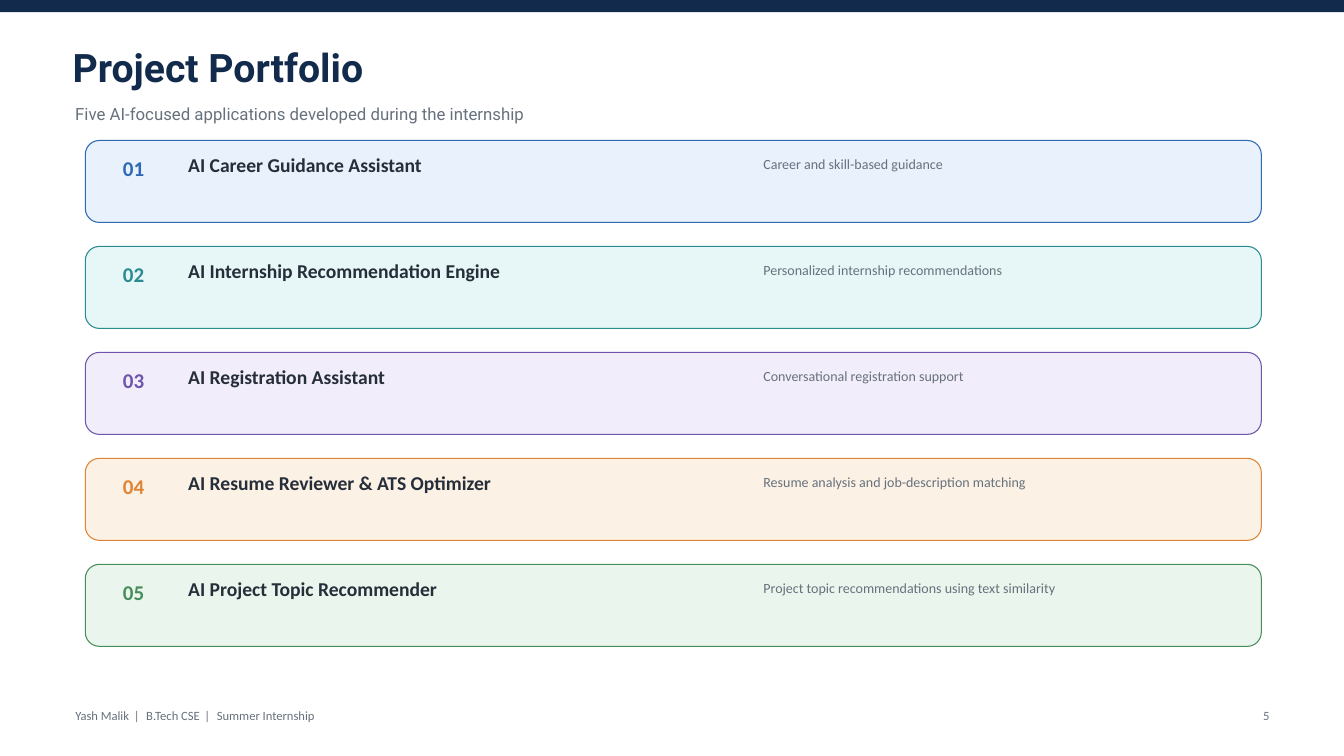
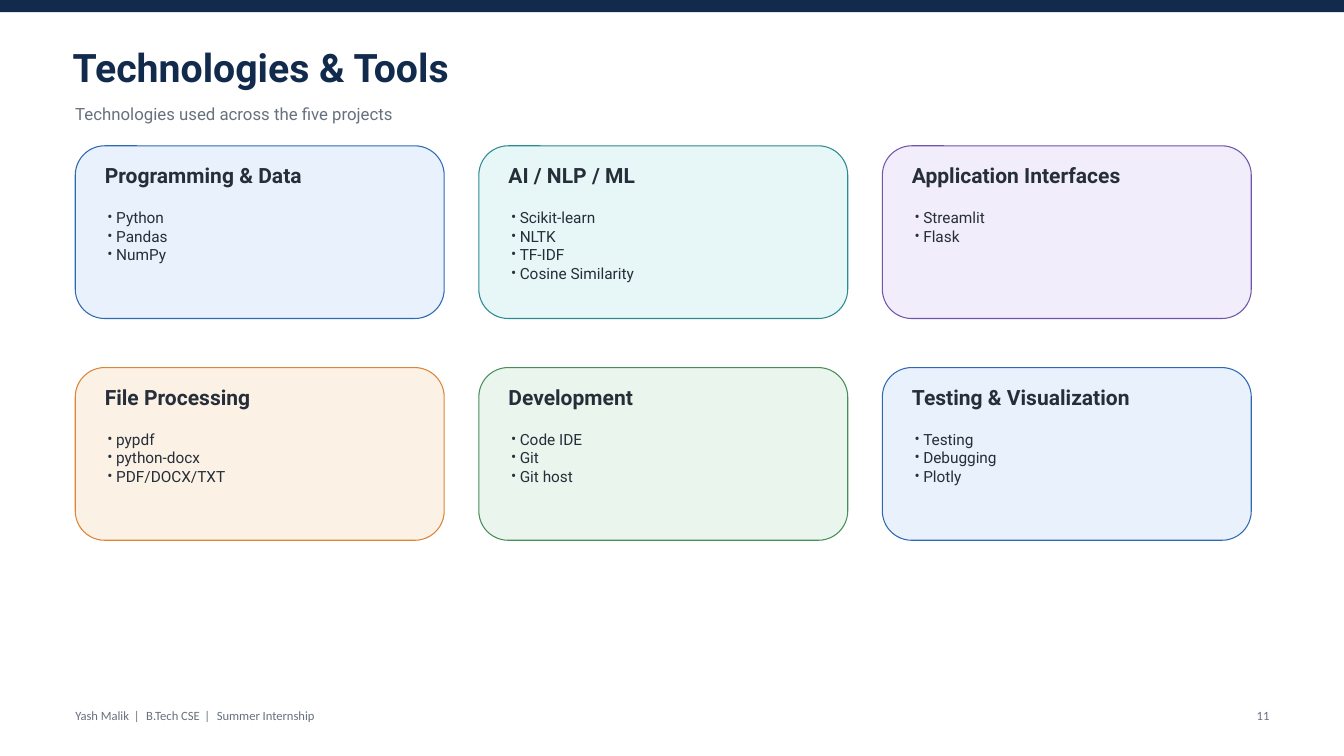
import dataclasses
import itertools

import lxml.etree
import pptx
import pptx.dml.color
import pptx.enum.shapes
import pptx.enum.text
import pptx.oxml.ns
import pptx.util

RGBColor = pptx.dml.color.RGBColor
NAVY = RGBColor(0x12, 0x2A, 0x4C)
INK = RGBColor(0x26, 0x2E, 0x3A)
GREY = RGBColor(0x67, 0x71, 0x7D)
BLUE, PALE_BLUE = RGBColor(0x2E, 0x69, 0xB4), RGBColor(0xE8, 0xF1, 0xFC)
TEAL, PALE_TEAL = RGBColor(0x2A, 0x8B, 0x91), RGBColor(0xE7, 0xF7, 0xF7)
PURPLE, PALE_PURPLE = RGBColor(0x6F, 0x56, 0xAA), RGBColor(0xF1, 0xED, 0xFA)
ORANGE, PALE_ORANGE = RGBColor(0xDE, 0x84, 0x37), RGBColor(0xFC, 0xF1, 0xE5)
GREEN, PALE_GREEN = RGBColor(0x48, 0x8E, 0x5B), RGBColor(0xEA, 0xF6, 0xED)
THEMES = [
    (BLUE, PALE_BLUE),
    (TEAL, PALE_TEAL),
    (PURPLE, PALE_PURPLE),
    (ORANGE, PALE_ORANGE),
    (GREEN, PALE_GREEN),
]

HEADING_FONT = "Roboto"
BODY_FONT = "Calibri"
COLUMNS, ROWS = 200, 112.5
CELL = pptx.util.Inches(0.1)
LINE_SPACING = 1.2
CORNER = 0.17
BULLET_INDENT = pptx.util.Inches(0.13)
LEFT = pptx.enum.text.PP_ALIGN.LEFT
RIGHT = pptx.enum.text.PP_ALIGN.RIGHT
FOOTER = ["Yash Malik", "B.Tech CSE", "Summer Internship"]

PROJECTS = [
    ("AI Career Guidance Assistant", "Career and skill-based guidance"),
    ("AI Internship Recommendation Engine", "Personalized internship recommendations"),
    ("AI Registration Assistant", "Conversational registration support"),
    ("AI Resume Reviewer & ATS Optimizer", "Resume analysis and job-description matching"),
    ("AI Project Topic Recommender", "Project topic recommendations using text similarity"),
]
TOOLS = [
    ("Programming & Data", ["Python", "Pandas", "NumPy"]),
    ("AI / NLP / ML", ["Scikit-learn", "NLTK", "TF-IDF", "Cosine Similarity"]),
    ("Application Interfaces", ["Streamlit", "Flask"]),
    ("File Processing", ["pypdf", "python-docx", "PDF/DOCX/TXT"]),
    ("Development", ["Code IDE", "Git", "Git host"]),
    ("Testing & Visualization", ["Testing", "Debugging", "Plotly"]),
]


@dataclasses.dataclass(frozen=True)
class Box:
    """A rectangle measured in grid columns and rows."""

    left: float
    top: float
    width: float
    height: float

    def inner(self, left, top, width, height):
        """Return a box offset from this one's top left corner."""
        return Box(self.left + left, self.top + top, width, height)

    def lengths(self):
        """Return left, top, width and height as slide lengths."""
        sides = dataclasses.astuple(self)
        return [pptx.util.Emu(round(side * CELL)) for side in sides]


@dataclasses.dataclass(frozen=True)
class Style:
    """The look of a piece of text."""

    size: float
    color: RGBColor
    font: str = BODY_FONT
    bold: bool = False


TITLE = Style(42, NAVY, HEADING_FONT, True)
SUBTITLE = Style(18, GREY, HEADING_FONT)
SMALL = Style(13.5, GREY)
PROJECT_NAME = Style(21, INK, bold=True)
PROJECT_NOTE = Style(15, GREY)
TOOL_HEADING = Style(22.5, INK, HEADING_FONT, True)
TOOL_ITEM = Style(16.5, INK, HEADING_FONT)
SLIDE = Box(0, 0, COLUMNS, ROWS)


def add_span(para, text, style):
    """Add one formatted run to a paragraph."""
    span = para.add_run()
    span.text = text
    span.font.name = style.font
    span.font.size = pptx.util.Pt(style.size)
    span.font.bold = style.bold
    span.font.color.rgb = style.color


def add_bullet(para):
    """Give a paragraph a hanging round bullet."""
    props = para._p.get_or_add_pPr()
    props.set("marL", str(BULLET_INDENT))
    props.set("indent", str(-BULLET_INDENT))
    qn = pptx.oxml.ns.qn
    lxml.etree.SubElement(props, qn("a:buFont"), typeface=HEADING_FONT)
    lxml.etree.SubElement(props, qn("a:buChar"), char="•")


def fill_text(shape, lines, style, align=LEFT, bullets=False):
    """Write lines, each a list of run texts, into a shape without margins."""
    frame = shape.text_frame
    frame.word_wrap = True
    frame.auto_size = pptx.enum.text.MSO_AUTO_SIZE.SHAPE_TO_FIT_TEXT
    frame.vertical_anchor = pptx.enum.text.MSO_ANCHOR.TOP
    frame.margin_left = frame.margin_top = 0
    frame.margin_right = frame.margin_bottom = 0
    for index, texts in enumerate(lines):
        para = frame.add_paragraph() if index else frame.paragraphs[0]
        para.alignment = align
        para.space_before = pptx.util.Pt(0)
        para.line_spacing = pptx.util.Pt(style.size * LINE_SPACING)
        if bullets:
            add_bullet(para)
        for text in texts:
            add_span(para, text, style)
    return frame


def add_text(page, box, lines, style, **options):
    """Add a text box holding the given lines."""
    shape = page.shapes.add_textbox(*box.lengths())
    return fill_text(shape, lines, style, **options)


def add_card(page, box, theme):
    """Add a rounded card with a tinted fill and a thin outline."""
    kind = pptx.enum.shapes.MSO_SHAPE.ROUNDED_RECTANGLE
    card = page.shapes.add_shape(kind, *box.lengths())
    card.adjustments[0] = CORNER
    card.shadow.inherit = False
    line, tint = theme
    card.fill.solid()
    card.fill.fore_color.rgb = tint
    card.line.color.rgb = line
    card.line.width = pptx.util.Pt(1.13)


def add_band(page, box):
    """Add the dark band along the top edge."""
    kind = pptx.enum.shapes.MSO_SHAPE.RECTANGLE
    band = page.shapes.add_shape(kind, *box.lengths())
    band.shadow.inherit = False
    band.fill.solid()
    band.fill.fore_color.rgb = NAVY
    band.line.fill.background()


def add_header(page, box, title, subtitle):
    """Place the title placeholder and the subtitle below it."""
    heading = page.shapes.title
    place = box.inner(0, 0, 170.6, 8)
    heading.left, heading.top, heading.width, heading.height = place.lengths()
    fill_text(heading, [[title]], TITLE)
    add_text(page, box.inner(0.4, 9, 170.6, 4.3), [[subtitle]], SUBTITLE)


def add_footer(page, box, number):
    """Add the author line on the left and the page number on the right."""
    texts = [FOOTER[0]]
    for entry in FOOTER[1:]:
        texts += [" | ", entry]
    frame = add_text(page, box.inner(0, 0, 103.1, 3.1), [texts], SMALL)
    for separator in frame.paragraphs[0].runs[1::2]:
        separator._r.get_or_add_rPr().set("spc", "200")
    add_text(page, box.inner(173.7, 0, 4, 3.1), [[str(number)]], SMALL, align=RIGHT)


def add_page(deck, title, subtitle, number):
    """Add a slide with the shared band, header and footer."""
    page = deck.slides.add_slide(deck.slide_layouts[5])
    add_band(page, SLIDE.inner(0, 0, COLUMNS, 1.8))
    add_header(page, SLIDE.inner(10.8, 6.5, 170.6, 13.3), title, subtitle)
    add_footer(page, SLIDE.inner(11.2, 105.3, 177.7, 3.1), number)
    return page


def add_project(page, box, number, project, theme):
    """Add one project row: card, number, name and note."""
    name, note = project
    add_card(page, box, theme)
    number_style = Style(22.5, theme[0], bold=True)
    add_text(page, box.inner(5.6, 2.2, 7, 5.6), [[f"{number:02}"]], number_style)
    add_text(page, box.inner(15.3, 1.9, 85.1, 7), [[name]], PROJECT_NAME)
    add_text(page, box.inner(100.9, 2.3, 64.1, 5.4), [[note]], PROJECT_NOTE)


def add_tool_card(page, box, heading, items, theme):
    """Add one technology card with a heading and a bulleted list."""
    add_card(page, box, theme)
    add_text(page, box.inner(4.4, 2.5, 46.8, 5), [[heading]], TOOL_HEADING)
    lines = [[item] for item in items]
    add_text(page, box.inner(4.8, 9.3, 46, 14), lines, TOOL_ITEM, bullets=True)


def build_portfolio(deck):
    """Build the slide listing the projects as stacked rows."""
    page = add_page(
        deck,
        "Project Portfolio",
        "Five AI-focused applications developed during the internship",
        5,
    )
    first = SLIDE.inner(12.7, 20.9, 175, 12.2)
    for index, (project, theme) in enumerate(zip(PROJECTS, THEMES)):
        box = first.inner(0, index * 15.77, first.width, first.height)
        add_project(page, box, index + 1, project, theme)


def build_technologies(deck):
    """Build the slide showing the tools in a grid of three columns."""
    page = add_page(
        deck, "Technologies & Tools", "Technologies used across the five projects", 11
    )
    first = SLIDE.inner(11.2, 21.7, 54.9, 25.7)
    themes = itertools.cycle(THEMES)
    for index, ((heading, items), theme) in enumerate(zip(TOOLS, themes)):
        row, column = divmod(index, 3)
        box = first.inner(column * 60.05, row * 33, first.width, first.height)
        add_tool_card(page, box, heading, items, theme)


def main():
    """Build and save the deck."""
    deck = pptx.Presentation()
    deck.slide_width = round(COLUMNS * CELL)
    deck.slide_height = round(ROWS * CELL)
    build_portfolio(deck)
    build_technologies(deck)
    deck.save("out.pptx")


if __name__ == "__main__":
    main()
